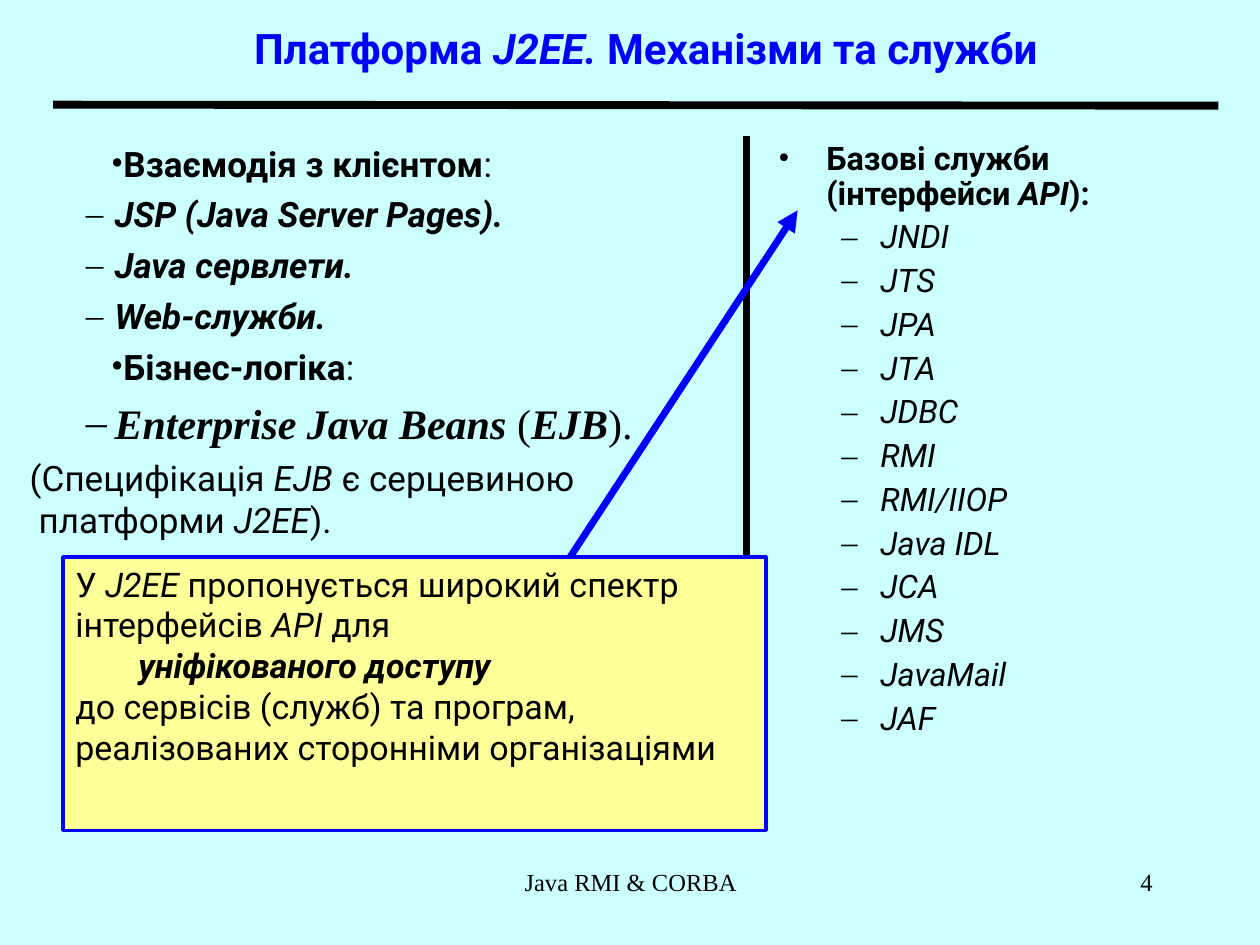
from lxml import etree
from pptx import Presentation
from pptx import util as u
from pptx.dml.color import RGBColor
from pptx.enum import shapes, text
from pptx.oxml import ns

SKY = RGBColor(0xCC, 0xFF, 0xFF)
BLUE = RGBColor(0x00, 0x00, 0xFF)
BLACK = RGBColor(0x00, 0x00, 0x00)
YELLOW = RGBColor(0xFF, 0xFF, 0x99)
SANS, SERIF = "Roboto", "Times New Roman"
B, I, BI = {"bold": True}, {"italic": True}, {"bold": True, "italic": True}


def add_text(p, content, size=20, font=SANS, color=BLACK, bold=False, italic=False):
    """Add one run per line of content, with line breaks between them."""
    for n, line in enumerate(content.split("\n")):
        if n:
            p.add_line_break()
        if line:
            r = p.add_run()
            r.text = line
            r.font.size, r.font.name = u.Pt(size), font
            r.font.bold, r.font.italic = bold, italic
            r.font.color.rgb = color


def sub(parent, tag, **attrs):
    return etree.SubElement(parent, ns.qn(tag), **attrs)


class SlideBuilder:
    def __init__(self, prs):
        self.slide = prs.slides.add_slide(prs.slide_layouts[5])
        fill = self.slide.background.fill
        fill.solid()
        fill.fore_color.rgb = SKY

    def frame(self, sp, anchor=text.MSO_ANCHOR.TOP):
        tf = sp.text_frame
        tf.word_wrap = True
        tf.auto_size = text.MSO_AUTO_SIZE.NONE
        tf.vertical_anchor = anchor
        return tf

    def paragraph(self, tf, runs, align=text.PP_ALIGN.LEFT, before=0, spacing=1.0,
                  margin=0, indent=0, bullet=None, tab=None, **style):
        first = tf.paragraphs[0]
        p = tf.add_paragraph() if first.runs else first
        p.alignment, p.line_spacing, p.space_before = align, spacing, u.Pt(before)
        pPr = p._p.get_or_add_pPr()
        pPr.set("marL", str(u.Cm(margin)))
        pPr.set("indent", str(u.Cm(indent)))
        if bullet:
            sub(pPr, "a:buFont", typeface=SERIF)
            sub(pPr, "a:buChar", char=bullet)
        else:
            sub(pPr, "a:buNone")
        if tab:
            sub(sub(pPr, "a:tabLst"), "a:tab", pos=str(u.Cm(tab)), algn="l")
        for content, fmt in runs:
            add_text(p, content, **{**style, **fmt})

    def title(self, box, runs, **style):
        sp = self.slide.shapes.title
        sp.left, sp.top, sp.width, sp.height = map(u.Cm, box)
        tf = self.frame(sp, text.MSO_ANCHOR.MIDDLE)
        self.paragraph(tf, runs, align=text.PP_ALIGN.CENTER, **style)

    def textbox(self, box):
        return self.frame(self.slide.shapes.add_textbox(*map(u.Cm, box)))

    def panel(self, box, fill, line, width):
        sp = self.slide.shapes.add_shape(shapes.MSO_SHAPE.RECTANGLE, *map(u.Cm, box))
        sp.shadow.inherit = False
        sp.fill.solid()
        sp.fill.fore_color.rgb = fill
        sp.line.color.rgb, sp.line.width = line, u.Pt(width)
        return self.frame(sp)

    def line(self, ends, color, width, arrow=False):
        c = self.slide.shapes.add_connector(shapes.MSO_CONNECTOR.STRAIGHT, *map(u.Cm, ends))
        c.line.color.rgb, c.line.width = color, u.Pt(width)
        if arrow:
            sub(c.line._get_or_add_ln(), "a:tailEnd", type="triangle")
        sub(c._element.spPr, "a:effectLst")


def main():
    prs = Presentation()
    prs.slide_width, prs.slide_height = u.Cm(25.4), u.Cm(19.05)
    s = SlideBuilder(prs)

    # Title
    s.title((2.54, 0, 20.96, 1.91),
            [("Платформа", {}), (" J2EE. ", I), ("Механізми та служби", {})],
            size=24, color=BLUE, bold=True)

    # Left column: client interaction and business logic
    tf = s.textbox((0, 2.74, 14.4, 14.17))
    topic = dict(before=5, margin=2.24, indent=-0.25, bullet="•")
    item = dict(before=5, margin=2.06, indent=-0.58, bullet="–")
    s.paragraph(tf, [("Взаємодія з клієнтом", B), (":", {})], **topic)
    for name in ("JSP (Java Server Pages).", "Java сервлети.", "Web-служби."):
        s.paragraph(tf, [(name, BI)], **item)
    s.paragraph(tf, [("Бізнес-логіка", B), (":", {})], **topic)
    s.paragraph(tf, [("Enterprise Java Beans", BI), (" (", {}), ("EJB", BI), (").", {})],
                **{**item, "before": 6}, size=24, font=SERIF)
    s.paragraph(tf, [("(Специфікація ", {}), ("EJB", I), (" є серцевиною\nплатформи ", {}),
                     ("J2EE", I), (").", {})], before=5, margin=0.53, indent=-0.18)

    # Right column: base services
    tf = s.textbox((15.44, 2.74, 9.47, 13.54))
    dense = dict(before=5, spacing=0.9, size=18.5)
    s.paragraph(tf, [("Базові служби (інтерфейси ", B), ("API", BI), ("):", B)],
                margin=0.97, indent=-0.97, bullet="•", **dense)
    for api in ("JNDI", "JTS", "JPA", "JTA", "JDBC", "RMI", "RMI/IIOP",
                "Java IDL", "JCA", "JMS", "JavaMail", "JAF"):
        s.paragraph(tf, [(api, I)], margin=2.06, indent=-0.79, bullet="–", **dense)

    # Rules and arrow
    s.line((1.07, 2.11, 24.56, 2.13), BLACK, 4.5)
    s.line((15.04, 2.74, 15.04, 16.71), BLACK, 4)
    s.line((11.23, 11.63, 16.08, 4.24), BLUE, 4, arrow=True)

    # Yellow note
    tf = s.panel((1.27, 11.23, 14.17, 5.51), YELLOW, BLUE, 2)
    s.paragraph(tf, [("У", {}), (" J2EE ", I),
                     ("пропонується широкий спектр інтерфейсів ", {}), ("API", I),
                     (" для\n\t", {}), ("уніфікованого доступу\n", BI),
                     ("до сервісів (служб) та програм, "
                      "реалізованих сторонніми організаціями", {})],
                before=5.2, tab=2.54, size=19.4)

    # Footer and page number
    for left, width, content, align in (
            (8.69, 8.05, "Java RMI & CORBA", text.PP_ALIGN.CENTER),
            (18.21, 5.28, "4", text.PP_ALIGN.RIGHT)):
        tf = s.textbox((left, 17.35, width, 1.27))
        s.paragraph(tf, [(content, {})], align=align, size=14, font=SERIF)

    prs.save("out.pptx")


if __name__ == "__main__":
    main()
